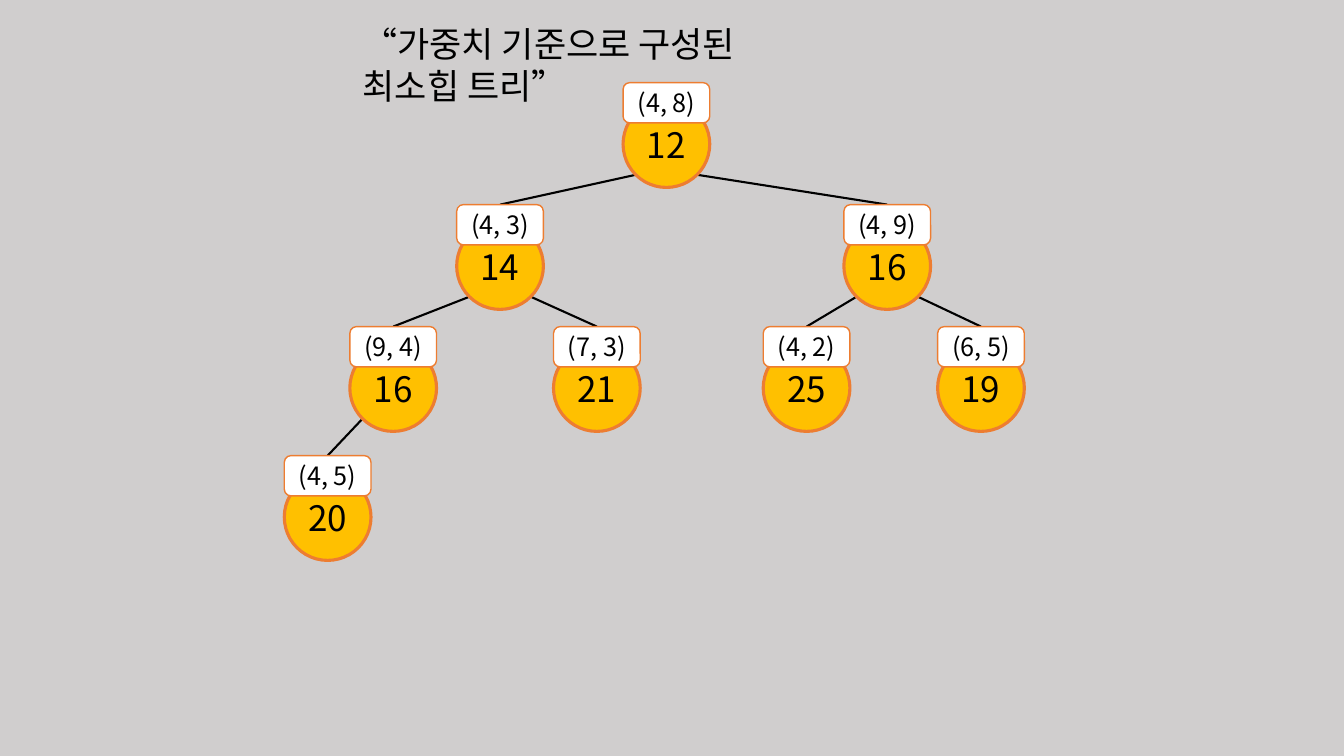
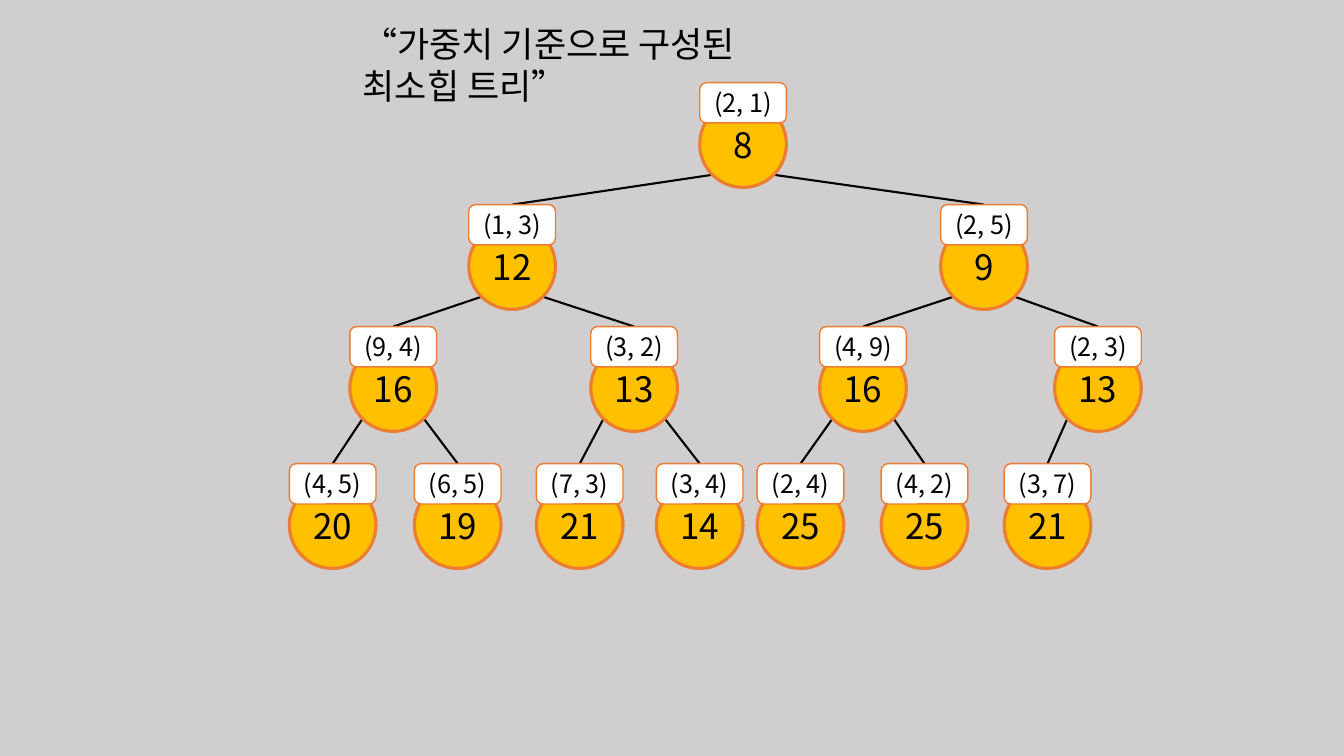
import math

import lxml.etree
import pptx
import pptx.dml.color
import pptx.enum.shapes
import pptx.enum.text
import pptx.oxml.ns
import pptx.util

Inches = pptx.util.Inches
Pt = pptx.util.Pt
RGBColor = pptx.dml.color.RGBColor
SHAPES = pptx.enum.shapes.MSO_SHAPE

# Content: each tree lists its nodes in heap order as (left, edge, weight)
TITLE = "“가중치 기준으로 구성된 최소힙 트리”"
TREES = [
    {
        "level_tops": [0.82, 2.03, 3.24, 4.52],
        "nodes": [
            (6.18, (4, 8), 12),
            (4.53, (4, 3), 14), (8.37, (4, 9), 16),
            (3.47, (9, 4), 16), (5.49, (7, 3), 21),
            (7.57, (4, 2), 25), (9.3, (6, 5), 19),
            (2.82, (4, 5), 20),
        ],
    },
    {
        "level_tops": [0.82, 2.03, 3.24, 4.6],
        "nodes": [
            (6.94, (2, 1), 8),
            (4.65, (1, 3), 12), (9.33, (2, 5), 9),
            (3.47, (9, 4), 16), (5.86, (3, 2), 13),
            (8.13, (4, 9), 16), (10.46, (2, 3), 13),
            (2.87, (4, 5), 20), (4.11, (6, 5), 19),
            (5.32, (7, 3), 21), (6.51, (3, 4), 14),
            (7.51, (2, 4), 25), (8.74, (4, 2), 25),
            (9.96, (3, 7), 21),
        ],
    },
]

# Shared look
FONT = "Noto Sans CJK KR"
GRAY = RGBColor(0xD0, 0xCE, 0xCE)
BLACK = RGBColor(0x00, 0x00, 0x00)
WHITE = RGBColor(0xFF, 0xFF, 0xFF)
GOLD = RGBColor(0xFF, 0xC0, 0x00)
ORANGE = RGBColor(0xED, 0x7D, 0x31)
DIAMETER = 0.86
TAG_HEIGHT = 0.4
CIRCLE_DROP = 0.18
CIRCLE_STYLE = {"kind": SHAPES.OVAL, "fill": GOLD, "border": 2.25, "size": 25}
TAG_STYLE = {"kind": SHAPES.ROUNDED_RECTANGLE, "fill": WHITE, "border": 1, "size": 18}


def write(box, text, size, frame_format, alignment):
    """Put one paragraph of black text in a box."""
    frame = box.text_frame
    for name, value in frame_format.items():
        setattr(frame, name, value)
    para = frame.paragraphs[0]
    para.alignment = alignment
    span = para.add_run()
    span.text = text
    for name, value in {"name": FONT, "size": Pt(size)}.items():
        setattr(span.font, name, value)
    span.font.color.rgb = BLACK
    east_asian = lxml.etree.SubElement(span.font._element, pptx.oxml.ns.qn("a:ea"))
    east_asian.set("typeface", FONT)


def add_title(page):
    """Add the heading shared by all pages."""
    box = page.shapes.add_textbox(*map(Inches, (3.5, 0.17, 4.76, 0.52)))
    write(box, TITLE, 25, {"word_wrap": True}, pptx.enum.text.PP_ALIGN.LEFT)


def add_part(group, style, left, top, height, text):
    """Add one labelled part of a node to its group."""
    part = group.shapes.add_shape(
        style["kind"], *map(Inches, (left, top, DIAMETER, height)))
    part.shadow.inherit = False
    part.fill.solid()
    part.fill.fore_color.rgb = style["fill"]
    part.line.color.rgb = ORANGE
    part.line.width = Pt(style["border"])
    frame_format = dict.fromkeys(
        ("margin_left", "margin_right", "margin_top", "margin_bottom"), 0)
    frame_format["vertical_anchor"] = pptx.enum.text.MSO_ANCHOR.MIDDLE
    write(part, text, style["size"], frame_format, pptx.enum.text.PP_ALIGN.CENTER)


def add_node(page, left, top, edge, weight):
    """Add a weight circle with its edge tag on top."""
    group = page.shapes.add_group_shape()
    add_part(group, CIRCLE_STYLE, left, top + CIRCLE_DROP, DIAMETER, str(weight))
    add_part(group, TAG_STYLE, left, top, TAG_HEIGHT, str(edge))


def add_branch(page, parent, child, side):
    """Draw a line from the parent's lower side (-1 left, 1 right) to the child's tag."""
    radius = DIAMETER / 2
    reach = radius * math.sqrt(0.5)
    start = (parent[0] + radius + side * reach,
             parent[1] + CIRCLE_DROP + radius + reach)
    end = (child[0] + radius, child[1])
    branch = page.shapes.add_connector(
        pptx.enum.shapes.MSO_CONNECTOR.STRAIGHT, *map(Inches, start + end))
    branch.line.color.rgb = BLACK
    branch.line.width = Pt(1.5)
    lxml.etree.SubElement(branch._element.spPr, pptx.oxml.ns.qn("a:effectLst"))


def add_tree(page, level_tops, nodes):
    """Draw a binary heap: branches first, then the nodes over them."""
    places = [(left, level_tops[int(math.log2(index + 1))])
              for index, (left, _, _) in enumerate(nodes)]
    for index in range(1, len(nodes)):
        side = -1 if index % 2 else 1
        add_branch(page, places[(index - 1) // 2], places[index], side)
    for place, (_, edge, weight) in zip(places, nodes):
        add_node(page, *place, edge, weight)


deck = pptx.Presentation()
deck.slide_width, deck.slide_height = Inches(13.33), Inches(7.5)
background = deck.slide_master.background.fill
background.solid()
background.fore_color.rgb = GRAY
for tree in TREES:
    page = deck.slides.add_slide(deck.slide_layouts[6])
    add_title(page)
    add_tree(page, **tree)
deck.save("out.pptx")
